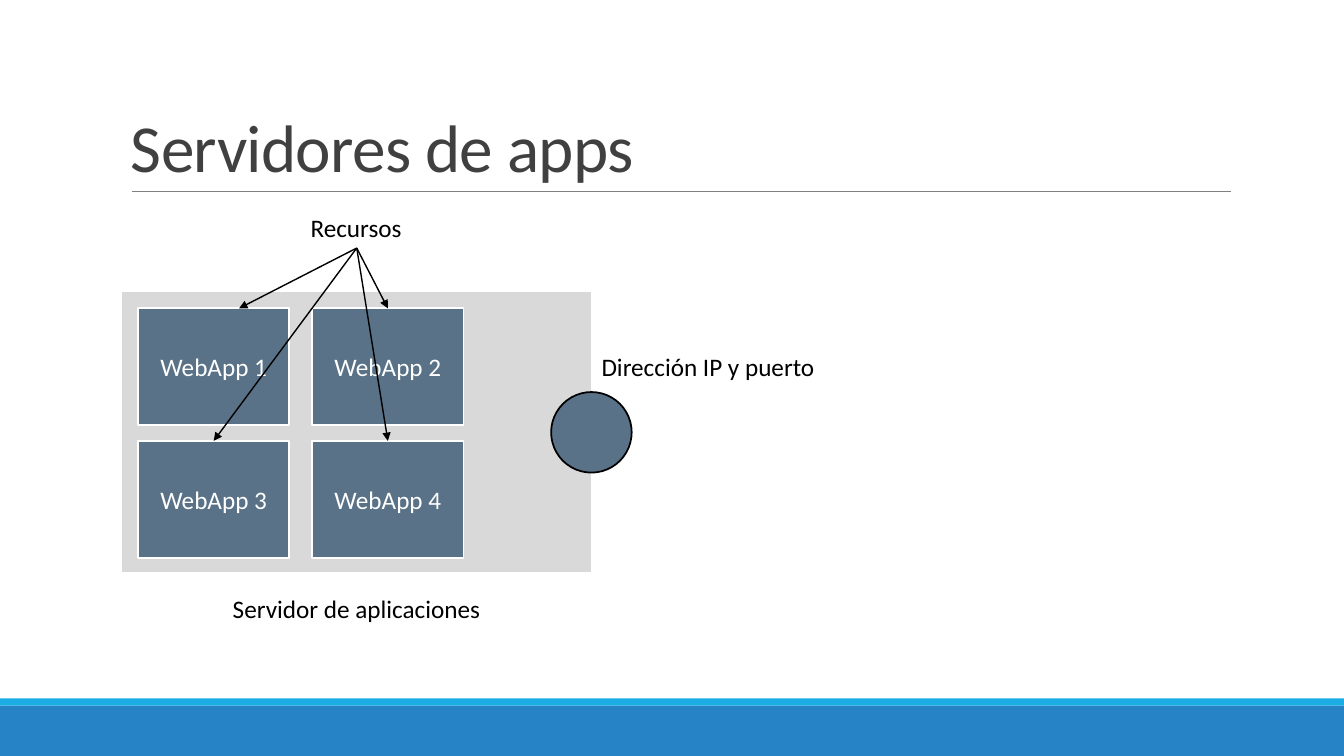
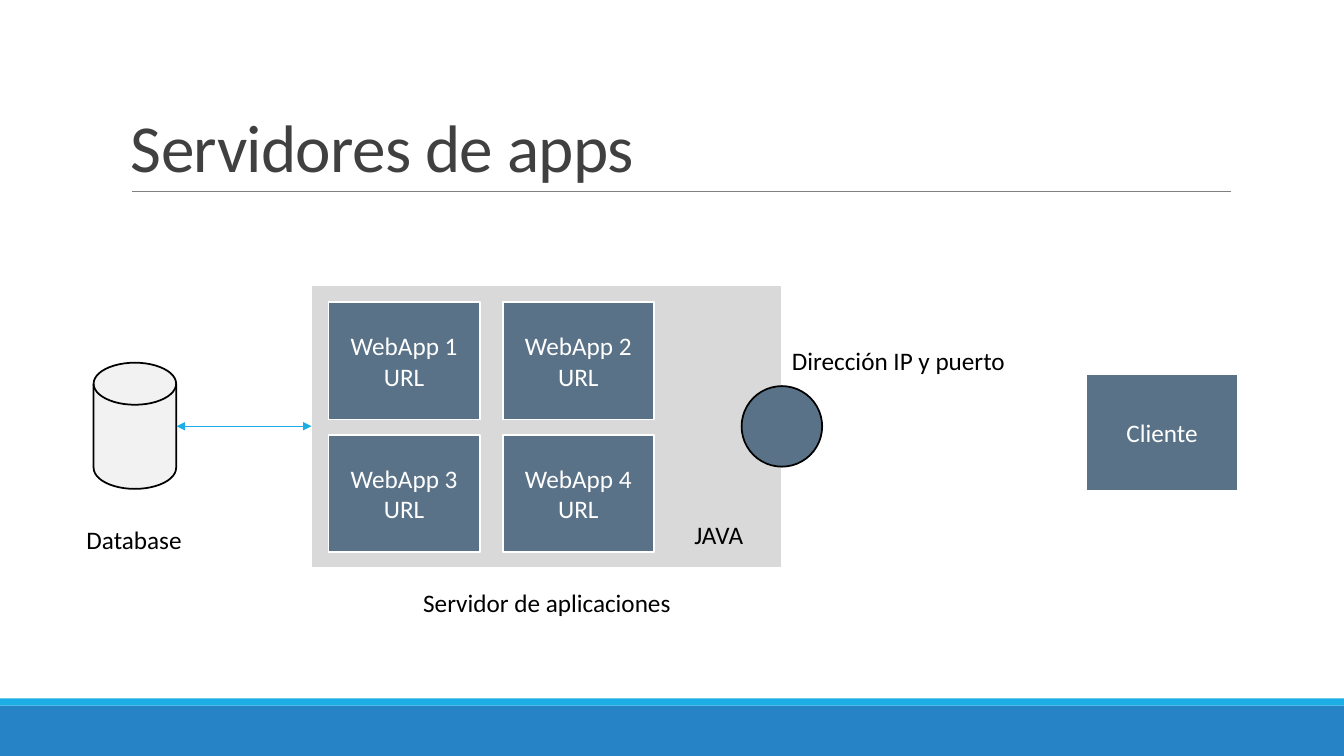
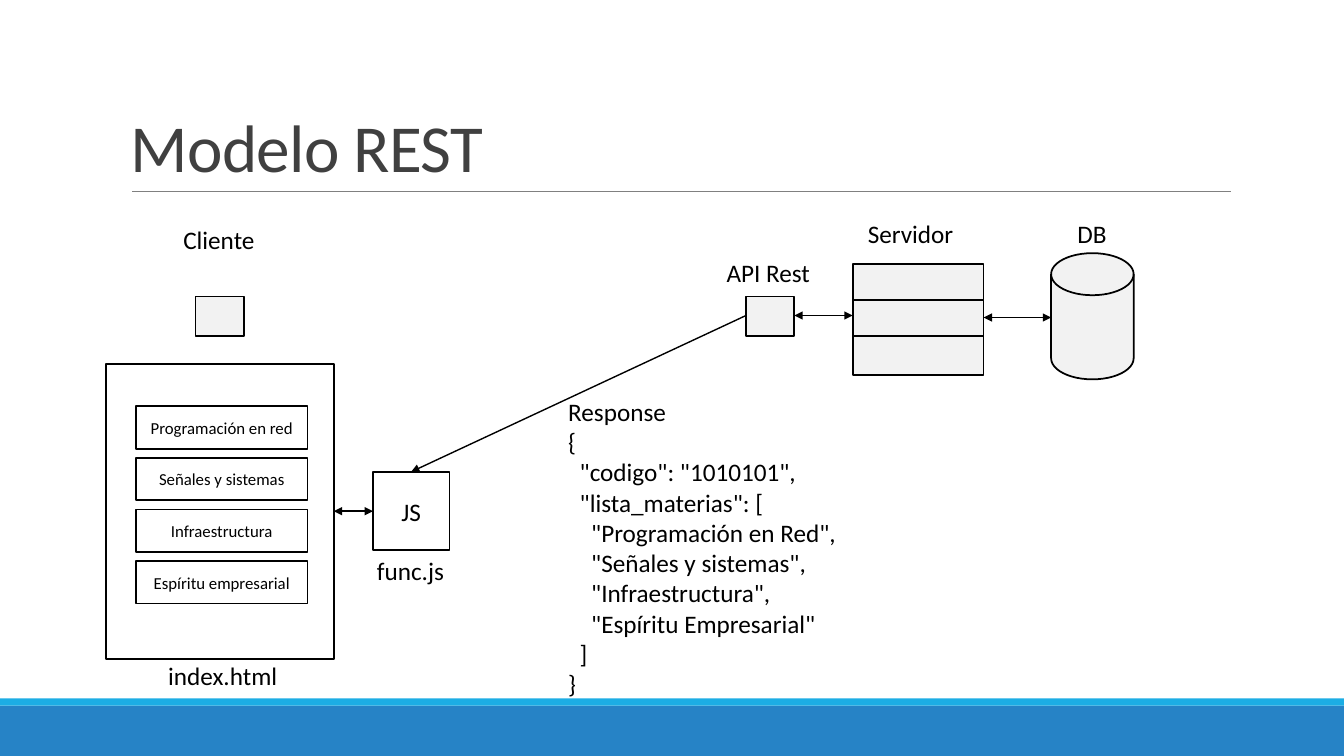
from lxml.etree import SubElement
from pptx import Presentation
from pptx.dml.color import RGBColor
from pptx.enum.shapes import MSO_CONNECTOR as Link, MSO_SHAPE as Kind
from pptx.enum.text import MSO_ANCHOR as Anchor, MSO_AUTO_SIZE as Fit, PP_ALIGN as Align
from pptx.oxml.ns import qn
from pptx.util import Cm, Pt

# Content; lengths in cm
HUES = {"white": "FFFFFF", "black": "000000", "title": "404040", "rule": "808080",
        "band": "2683C6", "sky": "1CADE4", "slate": "597287",
        "grey": "D9D9D9", "pale": "F2F2F2"}
FONT = "Calibri"
APPS = ["WebApp 1", "WebApp 2", "WebApp 3", "WebApp 4"]
APP_W, APP_H = 3.81, 2.95
LABEL_H = 1.02
DISK = (2.08, 3.18)
CHIP = (1.22, 0.99)
TOPICS = ["Programación en red", "Señales y sistemas",
          "Infraestructura", "Espíritu empresarial"]
REPLY = [  # indent level, text
    (0, "Response"),
    (0, "{"),
    (1, '"codigo": "1010101",'),
    (1, '"lista_materias": ['),
    (2, '"Programación en Red",'),
    (2, '"Señales y sistemas",'),
    (2, '"Infraestructura",'),
    (2, '"Espíritu Empresarial"'),
    (1, "]"),
    (0, "}"),
]
REST_LABELS = [  # text, left, top, width
    ("Cliente", 4.37, 5.54, 2.34),
    ("DB", 26.9, 5.38, 1.24),
    ("Servidor", 21.62, 5.38, 2.69),
    ("API Rest", 18.06, 6.35, 2.64),
    ("index.html", 3.99, 16.51, 3.3),
    ("func.js", 9.25, 13.87, 2.21),
]
REST_LINKS = [  # start, end
    ((24.79, 8.0), (26.49, 8.0)),
    ((20.02, 7.95), (21.49, 7.95)),
    ((8.41, 12.88), (9.4, 12.88)),
]


def hue(name):
    """Return a named colour."""
    return RGBColor.from_string(HUES[name])


def write(shape, text, size=18, color="black", align=Align.LEFT, anchor=Anchor.TOP,
          wrap=True, grow=False, track=0, lead=None):
    """Fill a shape with a string, or with (level, text) lines."""
    frame = shape.text_frame
    frame.word_wrap = wrap
    frame.vertical_anchor = anchor
    frame.auto_size = Fit.SHAPE_TO_FIT_TEXT if grow else Fit.NONE
    lines = [(0, t) for t in text.split("\n")] if isinstance(text, str) else text
    for i, (level, line) in enumerate(lines):
        para = frame.add_paragraph() if i else frame.paragraphs[0]
        para.alignment = align
        if lead:
            para.line_spacing = lead
        if level:
            para._p.get_or_add_pPr().set("marL", str(Cm(0.29 * level)))
        run = para.add_run()
        run.text = line
        font = run.font
        font.name, font.size = FONT, Pt(size)
        font.color.rgb = hue(color)
        if track:
            run._r.get_or_add_rPr().set("spc", str(track))


def label(slide, text, x, y, w, h=LABEL_H, grow=True, **form):
    """Add a text box."""
    box = slide.shapes.add_textbox(Cm(x), Cm(y), Cm(w), Cm(h))
    write(box, text, grow=grow, **form)


def block(slide, x, y, w, h, fill, line="black", kind=Kind.RECTANGLE, text="", **form):
    """Add a filled shape, with centred text if given."""
    shape = slide.shapes.add_shape(kind, Cm(x), Cm(y), Cm(w), Cm(h))
    shape.shadow.inherit = False
    shape.fill.solid()
    shape.fill.fore_color.rgb = hue(fill)
    if line:
        shape.line.color.rgb = hue(line)
        shape.line.width = Pt(1.25)
    else:
        shape.line.fill.background()
    if text:
        write(shape, text, align=Align.CENTER, anchor=Anchor.MIDDLE, **form)


def link(slide, start, end, color="black", width=1, heads=("tailEnd",)):
    """Add a straight line with triangles at the listed ends."""
    line = slide.shapes.add_connector(Link.STRAIGHT, *map(Cm, start + end))
    line.line.color.rgb = hue(color)
    line.line.width = Pt(width)
    for head in heads:
        SubElement(line.line._get_or_add_ln(), qn("a:" + head), type="triangle")
    SubElement(line._element.spPr, qn("a:effectLst"))


BOTH = ("headEnd", "tailEnd")


def page(deck, title):
    """Add a slide with the shared bands, rule and title."""
    slide = deck.slides.add_slide(deck.slide_layouts[6])
    block(slide, 0, 17.78, 33.87, 1.27, "band", None)
    block(slide, 0, 17.6, 33.87, 0.18, "sky", None)
    link(slide, (3.33, 4.83), (31.01, 4.83), "rule", 0.5, ())
    label(slide, title, 3.05, 0.79, 27.94, 4.04, grow=False, size=48, color="title",
          anchor=Anchor.BOTTOM, track=-50, lead=0.85)
    return slide


def server(slide, x, y, note=""):
    """Draw the application server; return the top centre of each app."""
    block(slide, x, y, 11.86, 7.11, "grey", "white")
    tops = []
    for i, app in enumerate(APPS):
        left = x + 0.43 + i % 2 * 4.39
        top = y + 0.43 + i // 2 * 3.34
        block(slide, left, top, APP_W, APP_H, "slate", "white",
              text=app + note, color="white")
        tops.append((left + APP_W / 2, top))
    block(slide, x + 10.84, y + 2.54, 2.03, 2.03, "slate", kind=Kind.OVAL)
    label(slide, "Dirección IP y puerto", x + 11.86, y + 1.38, 6.4)
    label(slide, "Servidor de aplicaciones", x + 1.68, y + 7.49, 8.51, align=Align.CENTER)
    return tops


def disk(slide, x, y):
    """Draw a database cylinder."""
    block(slide, x, y, *DISK, "pale", kind=Kind.FLOWCHART_MAGNETIC_DISK)


def resources(deck):
    """Build the slide on server resources."""
    slide = page(deck, "Servidores de apps")
    tops = server(slide, 3.05, 7.34)
    label(slide, "Recursos", 4.72, 5.23, 8.51, align=Align.CENTER)
    for i, (x, y) in enumerate(tops):
        link(slide, (8.99, 6.25), (x if i else x + 0.64, y))


def client(deck):
    """Build the slide on server, database and client."""
    slide = page(deck, "Servidores de apps")
    server(slide, 7.85, 7.19, "\nURL")
    block(slide, 27.38, 9.42, APP_W, APP_H, "slate", "white",
          text="Cliente", color="white")
    label(slide, "JAVA", 17.25, 12.95, 1.78, wrap=False)
    disk(slide, 2.36, 9.14)
    label(slide, "Database", 1.93, 13.08, 2.95, wrap=False)
    link(slide, (7.85, 10.74), (4.45, 10.74), "sky", heads=BOTH)


def rest(deck):
    """Build the slide on the REST model."""
    slide = page(deck, "Modelo REST")
    for x in (4.93, 18.8):
        block(slide, x, 7.47, *CHIP, "pale")
    disk(slide, 26.49, 6.38)
    for i in range(3):
        block(slide, 21.49, 6.65 + i * 0.91, 3.3, 0.99, "pale")
    block(slide, 2.67, 9.17, 5.74, 7.44, "white")
    for i, topic in enumerate(TOPICS):
        block(slide, 3.43, 10.24 + i * 1.3, 4.32, 1.07, "white", text=topic, size=12)
    block(slide, 9.4, 11.89, 1.93, 1.98, "white", text="JS")
    for text, x, y, w in REST_LABELS:
        label(slide, text, x, y, w, wrap=False)
    for start, end in REST_LINKS:
        link(slide, start, end, heads=BOTH)
    link(slide, (18.8, 7.95), (10.36, 11.89))
    label(slide, REPLY, 14.07, 9.86, 7.34, 8.71, wrap=False)


deck = Presentation()
deck.slide_width, deck.slide_height = Cm(33.87), Cm(19.05)
for build in (resources, client, rest):
    build(deck)
deck.save("out.pptx")
